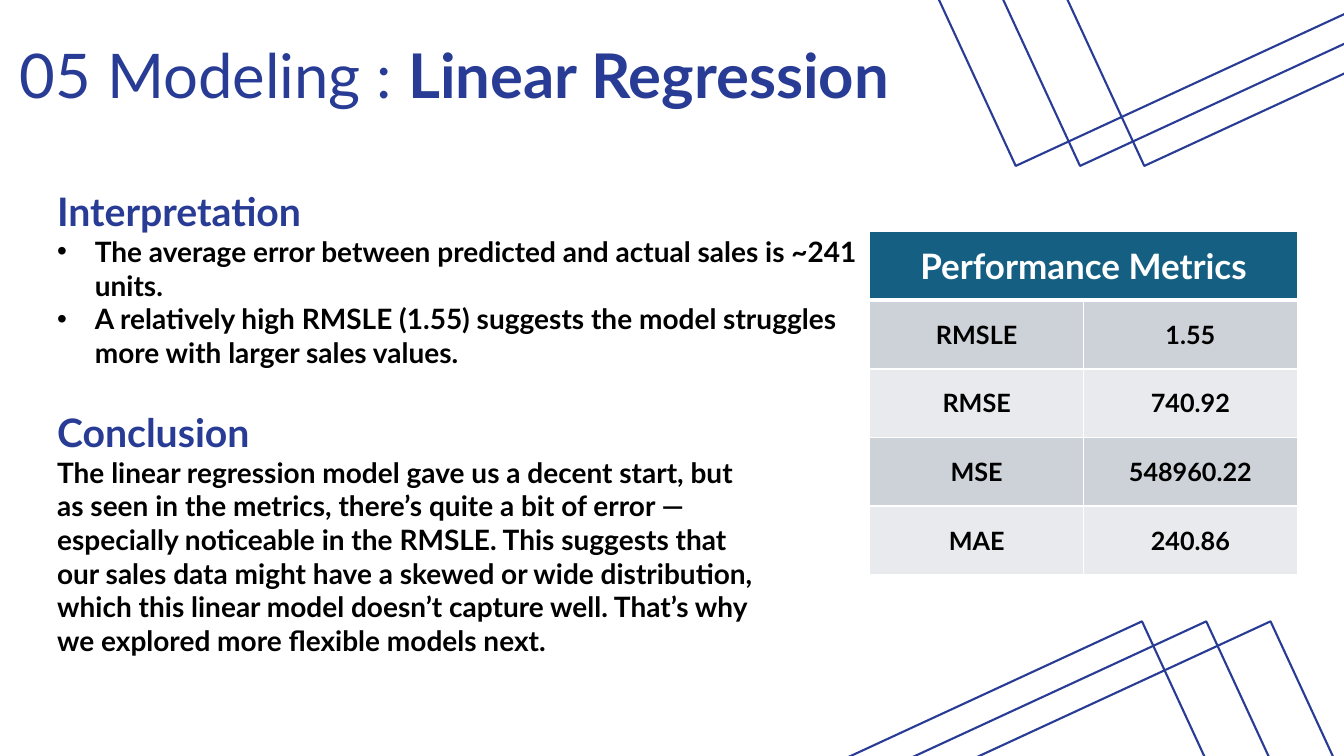
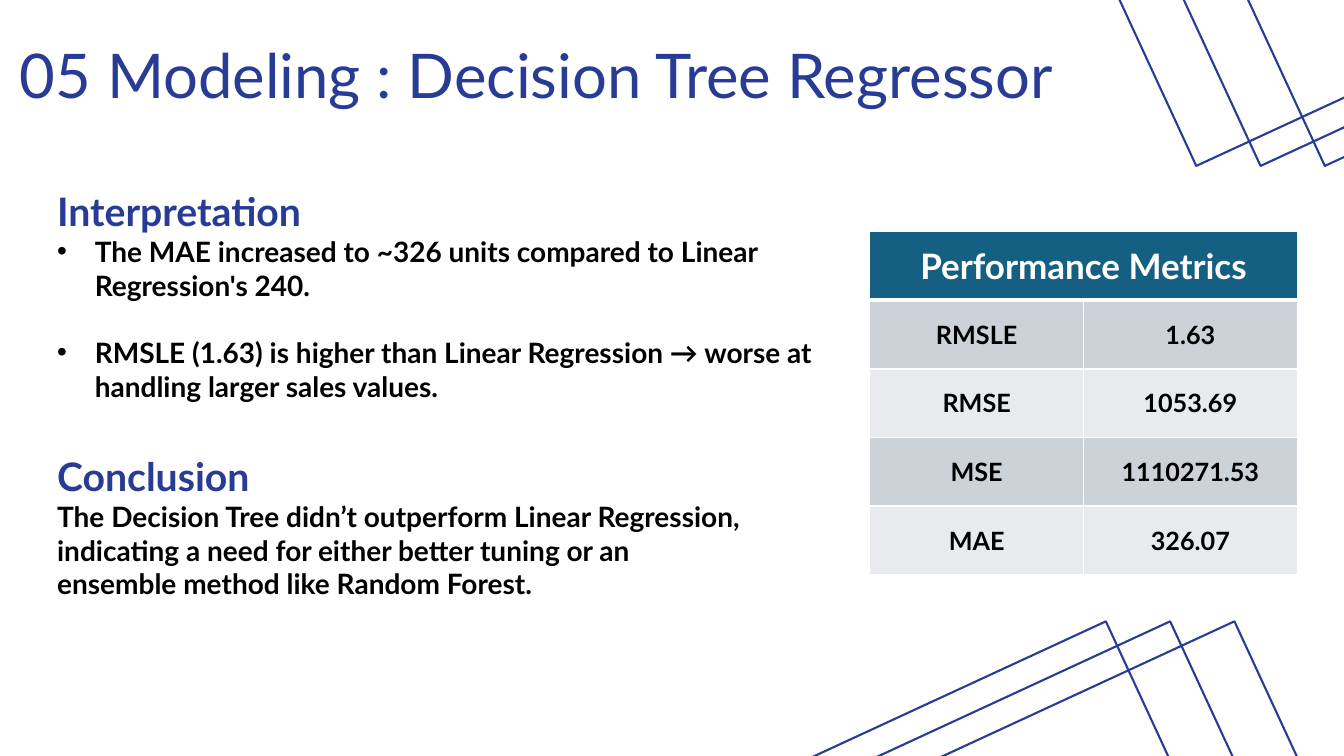
import pptx
import pptx.dml.color
import pptx.enum.shapes
import pptx.enum.text
import pptx.oxml
import pptx.oxml.ns
import pptx.util
from lxml import etree

Cm, Pt = pptx.util.Cm, pptx.util.Pt
RGBColor = pptx.dml.color.RGBColor
ANCHOR = pptx.enum.text.MSO_ANCHOR

BLUE = RGBColor(0x28, 0x3C, 0x95)
TEAL = RGBColor(0x15, 0x60, 0x82)
BLACK = RGBColor(0, 0, 0)
WHITE = RGBColor(0xFF, 0xFF, 0xFF)
BANDS = RGBColor(0xCC, 0xD2, 0xD8), RGBColor(0xE8, 0xEA, 0xED)
FONT = "Lato"
CENTER = pptx.enum.text.PP_ALIGN.CENTER

METRICS = ["RMSLE", "RMSE", "MSE", "MAE"]
SLIDES = [
    {
        "title": [("05 Modeling : ", False), ("Linear Regression", True)],
        "bullets": [
            "The average error between predicted and actual sales is ~241 units.",
            "A relatively high RMSLE (1.55) suggests the model struggles more with larger sales values.",
        ],
        "bullet_gap": 0,
        "conclusion": "The linear regression model gave us a decent start, but as seen in the metrics, "
                      "there’s quite a bit of error — especially noticeable in the RMSLE. This suggests "
                      "that our sales data might have a skewed or wide distribution, which this linear "
                      "model doesn’t capture well. That’s why we explored more flexible models next.",
        "conclusion_top": 10.16,
        "values": ["1.55", "740.92", "548960.22", "240.86"],
        "frame_lefts": (21.92, 18.31),
    },
    {
        "title": [("05 Modeling : Decision Tree Regressor", False)],
        "bullets": [
            "The MAE increased to ~326 units compared to Linear Regression's 240.",
            "RMSLE (1.63) is higher than Linear Regression → worse at handling larger sales values.",
        ],
        "bullet_gap": 24,
        "conclusion": "The Decision Tree didn’t outperform Linear Regression, indicating a need for "
                      "either better tuning or an ensemble method like Random Forest.",
        "conclusion_top": 11.28,
        "values": ["1.63", "1053.69", "1110271.53", "326.07"],
        "frame_lefts": (26.47, 17.4),
    },
]

FRAME_TOPS = (-12.55, 17.96)
FRAME_SIZE = (14.15, 14.43)
FRAME_STEP = 1.62
TEXT_LEFT = 1.19


def write(p, runs, size, color, bold=True, align=None, spacing=None, before=0, bullet=False):
    """Fill a paragraph with a string, or with (text, bold) pairs."""
    if bullet:
        pPr = p._p.get_or_add_pPr()
        pPr.set("marL", str(Cm(0.95)))
        pPr.set("indent", str(-Cm(0.95)))
        bu_font = etree.SubElement(pPr, pptx.oxml.ns.qn("a:buFont"))
        bu_font.set("typeface", "Arial")
        etree.SubElement(pPr, pptx.oxml.ns.qn("a:buChar")).set("char", "•")
    if align is not None:
        p.alignment = align
    if spacing:
        p.line_spacing = spacing
    if before:
        p.space_before = Pt(before)
    for text, is_bold in [(runs, bold)] if isinstance(runs, str) else runs:
        r = p.add_run()
        r.text = text
        r.font.name, r.font.size, r.font.bold = FONT, Pt(size), is_bold
        r.font.color.rgb = color


def add_box(s, left, top, width, height, anchor=ANCHOR.TOP):
    tf = s.shapes.add_textbox(Cm(left), Cm(top), Cm(width), Cm(height)).text_frame
    tf.word_wrap = True
    tf.vertical_anchor = anchor
    return tf


def add_frames(s, left, top):
    """Draw three overlapping tilted outlines."""
    for i in range(3):
        sp = s.shapes.add_shape(pptx.enum.shapes.MSO_SHAPE.RECTANGLE, Cm(left + i * FRAME_STEP),
                                Cm(top), Cm(FRAME_SIZE[0]), Cm(FRAME_SIZE[1]))
        sp.rotation = 335.2
        sp.shadow.inherit = False
        sp.fill.background()
        sp.line.color.rgb = BLUE
        sp.line.width = Pt(1.5)


def set_borders(cell, **widths):
    """Give a cell white borders, 1 pt unless a side (L, R, T, B) is named."""
    tcPr = cell._tc.get_or_add_tcPr()
    for i, side in enumerate("LRTB"):
        tcPr.insert(i, pptx.oxml.parse_xml(
            f'<a:ln{side} {pptx.oxml.ns.nsdecls("a")} w="{Pt(widths.get(side, 1))}">'
            f'<a:solidFill><a:srgbClr val="{WHITE}"/></a:solidFill></a:ln{side}>'))


def fill_cell(cell, text, size, color, fill, **borders):
    cell.fill.solid()
    cell.fill.fore_color.rgb = fill
    cell.vertical_anchor = ANCHOR.MIDDLE
    write(cell.text_frame.paragraphs[0], text, size, color, align=CENTER)
    set_borders(cell, **borders)


def add_metrics(s, values):
    table = s.shapes.add_table(len(METRICS) + 1, 2, Cm(21.92), Cm(5.84), Cm(10.77), Cm(8.64)).table
    table.cell(0, 0).merge(table.cell(0, 1))
    fill_cell(table.cell(0, 0), "Performance Metrics", 25, WHITE, TEAL, B=3)
    set_borders(table.cell(0, 1), B=3)
    for row, texts in enumerate(zip(METRICS, values), 1):
        for col, text in enumerate(texts):
            fill_cell(table.cell(row, col), text, 18, BLACK, BANDS[(row - 1) % 2],
                      T=3 if row == 1 else 1)


def add_slide(prs, content):
    s = prs.slides.add_slide(prs.slide_layouts[6])
    for left, top in zip(content["frame_lefts"], FRAME_TOPS):
        add_frames(s, left, top)

    tf = add_box(s, 0.25, 0.15, 30, 3.68, ANCHOR.MIDDLE)
    write(tf.paragraphs[0], content["title"], 44, BLUE, spacing=0.9)

    tf = add_box(s, TEXT_LEFT, 4.6, 20.73, 4.88)
    write(tf.paragraphs[0], "Interpretation", 28, BLUE)
    for i, text in enumerate(content["bullets"]):
        write(tf.add_paragraph(), text, 20, BLACK, bullet=True, before=i * content["bullet_gap"])

    tf = add_box(s, TEXT_LEFT, content["conclusion_top"], 18.11, 4)
    write(tf.paragraphs[0], "Conclusion", 28, BLUE)
    write(tf.add_paragraph(), content["conclusion"], 20, BLACK)

    add_metrics(s, content["values"])


def main():
    prs = pptx.Presentation()
    prs.slide_width, prs.slide_height = Cm(33.87), Cm(19.05)
    for content in SLIDES:
        add_slide(prs, content)
    prs.save("out.pptx")


if __name__ == "__main__":
    main()
